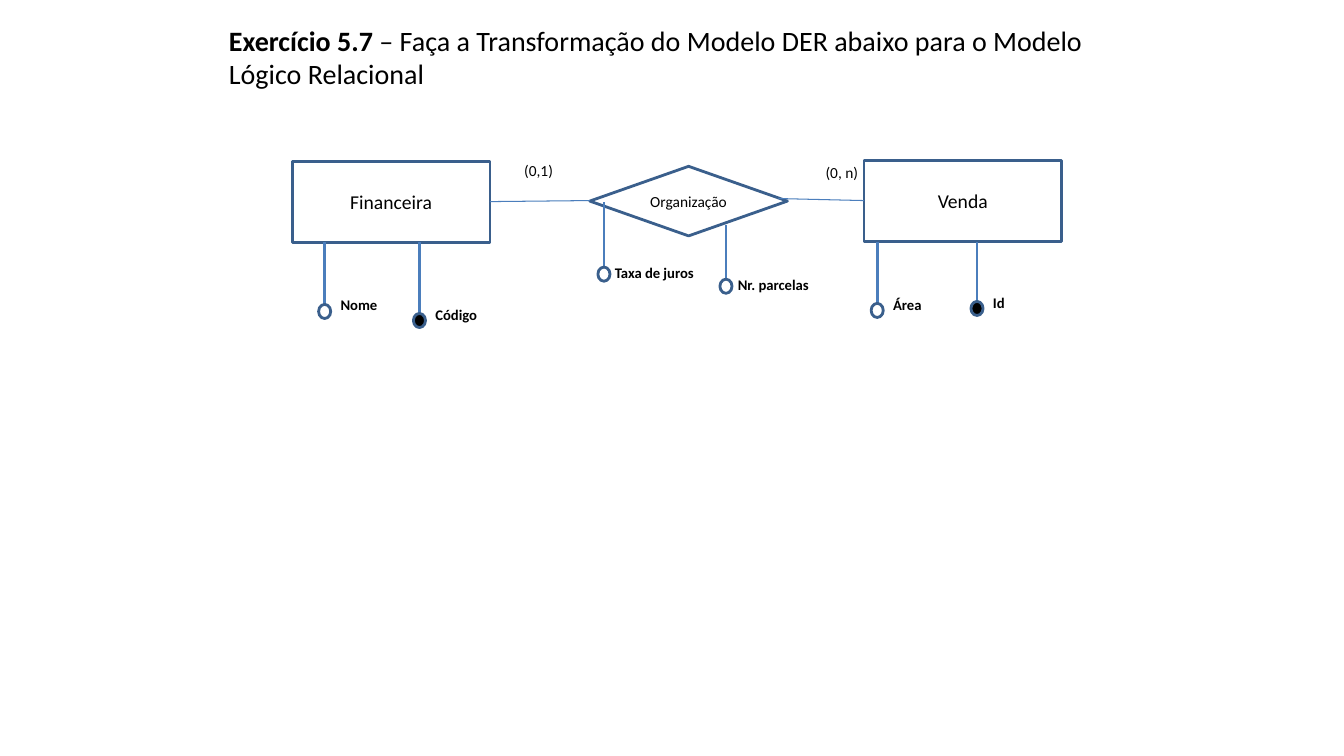
from pptx import Presentation
from pptx.dml.color import RGBColor
from pptx.enum.shapes import MSO_CONNECTOR, MSO_SHAPE
from pptx.enum.text import MSO_ANCHOR, MSO_AUTO_SIZE, PP_ALIGN
from pptx.oxml.ns import qn
from pptx.util import Inches, Pt
from lxml.etree import SubElement

BLACK = RGBColor(0x00, 0x00, 0x00)
WHITE = RGBColor(0xFF, 0xFF, 0xFF)
OUTLINE = RGBColor(0x3A, 0x5F, 0x8C)
LINK = RGBColor(0x4B, 0x7E, 0xBC)

NODE_WIDTH = 1.96
ENTITY_HEIGHT = 0.81
RELATION_HEIGHT = 0.69
KNOB_WIDTH, KNOB_HEIGHT = 0.12, 0.14
LABEL_HEIGHT = 0.28

ENTITY_FONT = {"name": "Calibri", "size": Pt(14), "bold": False}
RELATION_FONT = {**ENTITY_FONT, "size": Pt(11)}
ATTRIBUTE_FONT = {"name": "Calibri", "size": Pt(10.5), "bold": True}
TITLE_FONT = {"name": "Calibri", "size": Pt(20), "bold": False}

ENTITIES = [("Venda", 8.57, 1.59), ("Financeira", 2.9, 1.6)]
LINKS = [((5.85, 1.99), (4.86, 2)), ((8.57, 1.99), (7.72, 1.97))]
CARDINALITIES = [("(0, n)", 8.09, 1.57, 0.53), ("(0,1)", 5.1, 1.55, 0.52)]
ATTRIBUTES = [
    ("Área", 8.7, 2.4, 3.01, WHITE, (8.76, 2.89, 0.49)),
    ("Código", 4.16, 2.4, 3.11, BLACK, (4.22, 2.98, 0.62)),
    ("Nome", 3.22, 2.4, 3.02, WHITE, (3.28, 2.89, 0.57)),
    ("Id", 9.69, 2.4, 2.99, BLACK, (9.75, 2.87, 0.32)),
    ("Taxa de juros", 5.99, 2, 2.65, WHITE, (6, 2.57, 1.03)),
    ("Nr. parcelas", 7.2, 2.23, 2.77, WHITE, (7.22, 2.69, 0.94)),
]


def apply_format(target, values):
    for attribute, value in values.items():
        setattr(target, attribute, value)


def add_words(paragraph, words, font):
    run = paragraph.add_run()
    run.text = words
    apply_format(run.font, font)
    run.font.color.rgb = BLACK


def add_title(slide):
    title = slide.shapes.title
    apply_format(title, {"left": Inches(2.17), "top": Inches(0.13),
                         "width": Inches(9), "height": Inches(0.87)})
    apply_format(title.text_frame, {"vertical_anchor": MSO_ANCHOR.MIDDLE, "word_wrap": True,
                                    "auto_size": MSO_AUTO_SIZE.NONE})
    heading = title.text_frame.paragraphs[0]
    heading.alignment = PP_ALIGN.LEFT
    add_words(heading, "Exercício 5.7", {**TITLE_FONT, "bold": True})
    add_words(heading, " – Faça a Transformação do Modelo DER abaixo para o Modelo Lógico Relacional",
              TITLE_FONT)


def add_outlined(diagram, preset, left, top, width, height, fill):
    outlined = diagram.shapes.add_shape(preset, Inches(left), Inches(top), Inches(width), Inches(height))
    outlined.shadow.inherit = False
    outlined.fill.solid()
    outlined.fill.fore_color.rgb = fill
    outlined.line.color.rgb = OUTLINE
    outlined.line.width = Pt(2)
    return outlined


def add_node(diagram, preset, name, left, top, height, font):
    node = add_outlined(diagram, preset, left, top, NODE_WIDTH, height, WHITE)
    node.text_frame.vertical_anchor = MSO_ANCHOR.MIDDLE
    caption = node.text_frame.paragraphs[0]
    caption.alignment = PP_ALIGN.CENTER
    add_words(caption, name, font)


def add_link(diagram, start, end, weight):
    link = diagram.shapes.add_connector(MSO_CONNECTOR.STRAIGHT, *map(Inches, (*start, *end)))
    link.line.color.rgb = LINK
    link.line.width = Pt(weight)
    SubElement(link._element.spPr, qn("a:effectLst"))


def add_label(diagram, words, left, top, width, font):
    label = diagram.shapes.add_textbox(Inches(left), Inches(top), Inches(width), Inches(LABEL_HEIGHT))
    apply_format(label.text_frame, {"word_wrap": False, "auto_size": MSO_AUTO_SIZE.SHAPE_TO_FIT_TEXT})
    add_words(label.text_frame.paragraphs[0], words, font)


def add_attribute(diagram, name, x, stem_top, knob_top, fill, label_place):
    add_link(diagram, (x, knob_top), (x, stem_top), 2)
    add_outlined(diagram, MSO_SHAPE.FLOWCHART_CONNECTOR, x - KNOB_WIDTH / 2, knob_top,
                 KNOB_WIDTH, KNOB_HEIGHT, fill)
    add_label(diagram, name, *label_place, ATTRIBUTE_FONT)


def main():
    presentation = Presentation()
    apply_format(presentation, {"slide_width": Inches(13.33), "slide_height": Inches(7.5)})
    slide = presentation.slides.add_slide(presentation.slide_layouts[5])
    add_title(slide)
    diagram = slide.shapes.add_group_shape()
    for name, left, top in ENTITIES:
        add_node(diagram, MSO_SHAPE.RECTANGLE, name, left, top, ENTITY_HEIGHT, ENTITY_FONT)
    add_node(diagram, MSO_SHAPE.FLOWCHART_DECISION, "Organização", 5.85, 1.65,
             RELATION_HEIGHT, RELATION_FONT)
    for start, end in LINKS:
        add_link(diagram, start, end, 0.75)
    for cardinality in CARDINALITIES:
        add_label(diagram, *cardinality, RELATION_FONT)
    for attribute in ATTRIBUTES:
        add_attribute(diagram, *attribute)
    presentation.save("out.pptx")


main()
